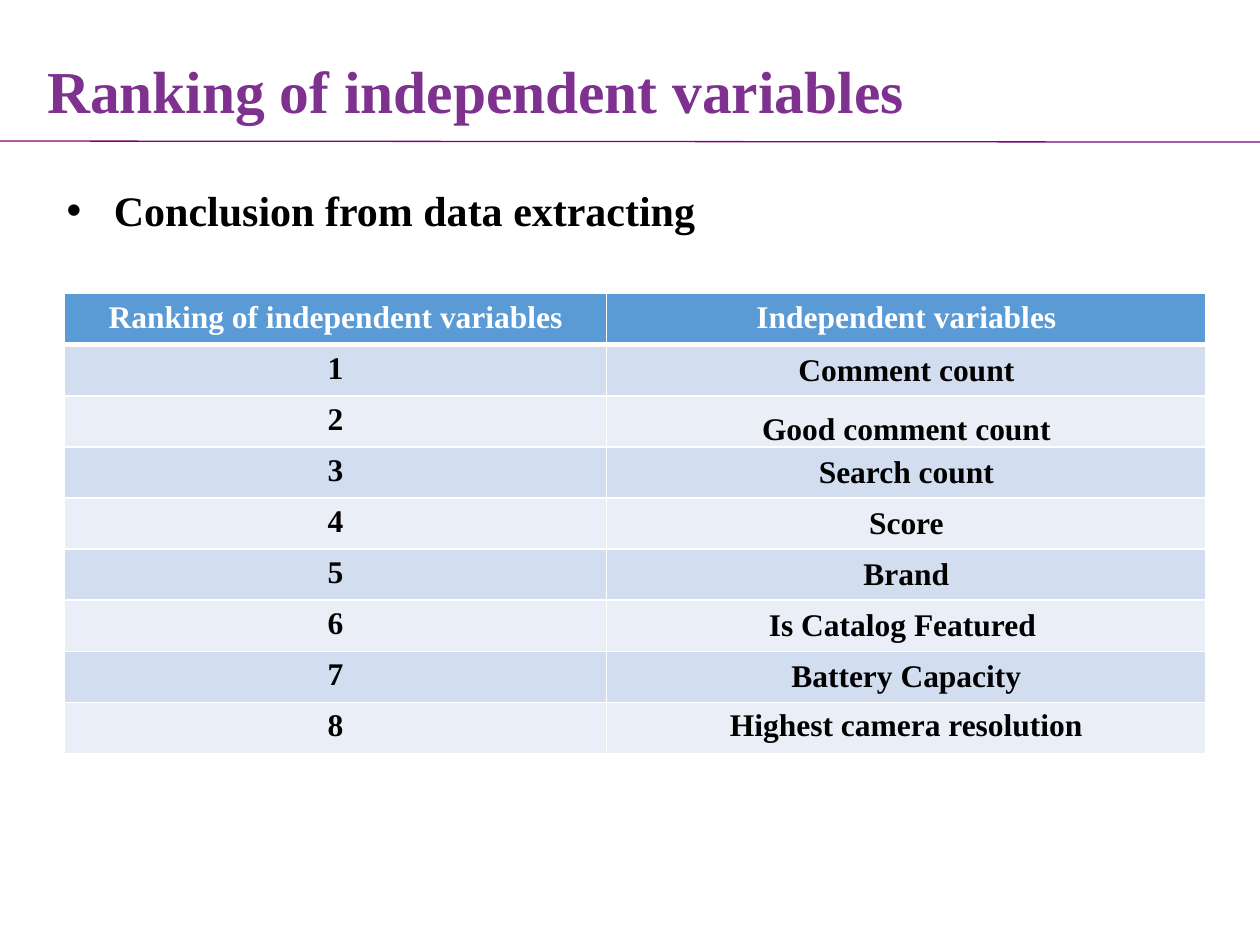
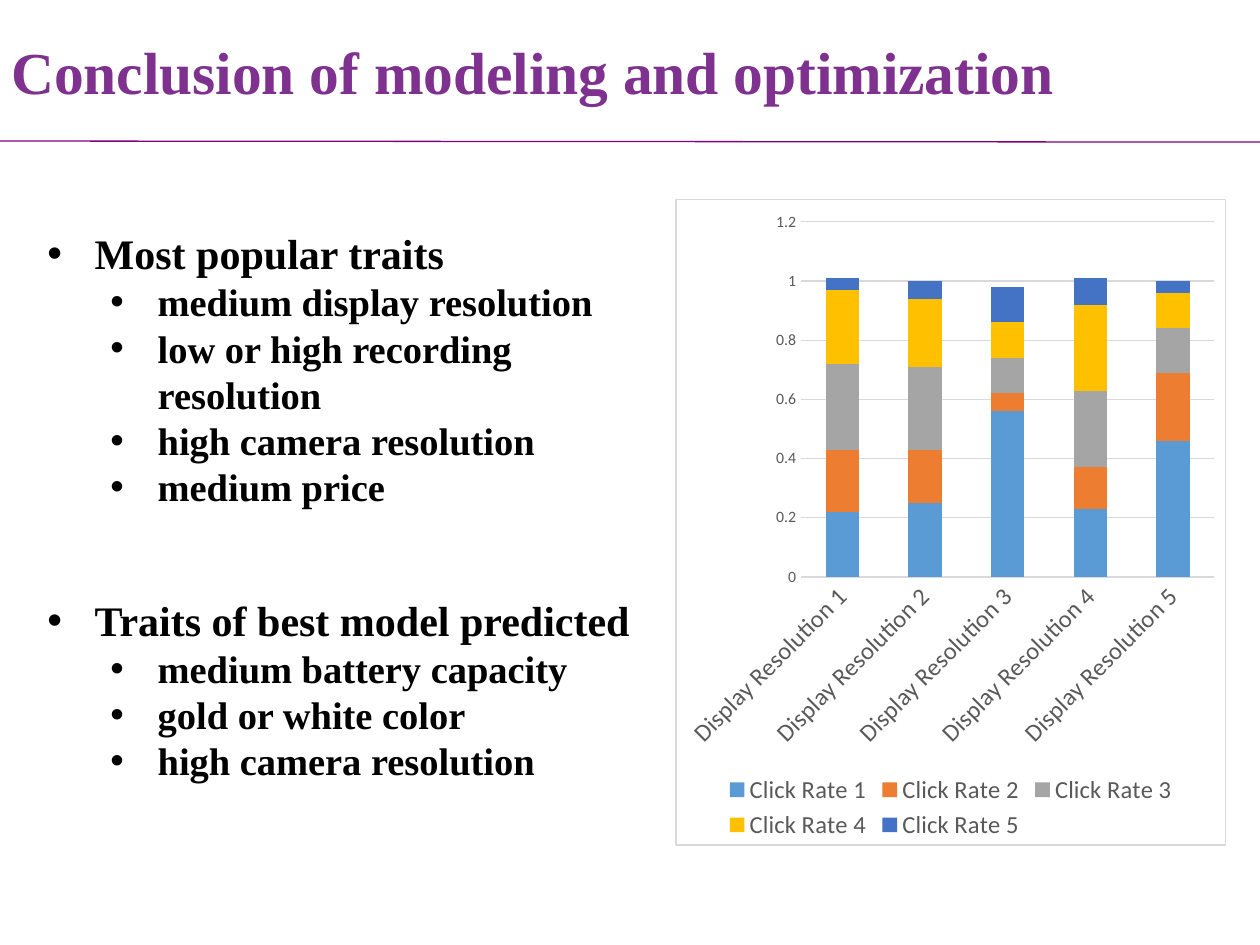
from dataclasses import dataclass

from lxml import etree
from pptx import Presentation
from pptx.chart.data import CategoryChartData
from pptx.dml.color import RGBColor
from pptx.enum.chart import XL_CHART_TYPE, XL_LEGEND_POSITION, XL_TICK_MARK
from pptx.enum.shapes import MSO_CONNECTOR
from pptx.enum.text import MSO_ANCHOR, PP_ALIGN
from pptx.oxml import parse_xml
from pptx.oxml.ns import nsdecls, qn
from pptx.util import Pt

TOP, MIDDLE, BOTTOM = MSO_ANCHOR.TOP, MSO_ANCHOR.MIDDLE, MSO_ANCHOR.BOTTOM
LEFT, CENTER = PP_ALIGN.LEFT, PP_ALIGN.CENTER
STRAIGHT = MSO_CONNECTOR.STRAIGHT
COLUMN_STACKED = XL_CHART_TYPE.COLUMN_STACKED
LEGEND_BOTTOM = XL_LEGEND_POSITION.BOTTOM
NO_TICK = XL_TICK_MARK.NONE


@dataclass(frozen=True)
class Theme:
    text_font: str = "Times New Roman"
    chart_font: str = "Calibri"
    title: str = "7E318E"
    rule: str = "800080"
    black: str = "000000"
    white: str = "FFFFFF"
    header: str = "5B9BD5"
    bands: tuple = ("D2DEEF", "EAEFF7")
    chart_text: str = "595959"
    chart_line: str = "D9D9D9"
    series: tuple = ("5B9BD5", "ED7D31", "A5A5A5", "FFC000", "4472C4")
    title_size: int = 34
    heading_size: int = 24
    item_size: int = 22
    table_size: int = 18
    label_size: int = 14
    chart_size: int = 10
    value_size: int = 9
    thin: float = 0.75


THEME = Theme()

VARIABLES = [
    "Comment count", "Good comment count", "Search count", "Score", "Brand",
    "Is Catalog Featured ", "Battery Capacity", "Highest camera resolution",
]
POPULAR_TRAITS = [
    "medium display resolution", "low or high recording resolution",
    "high camera resolution", "medium price",
]
BEST_MODEL_TRAITS = [
    "medium battery capacity", "gold or white color", "high camera resolution",
]
CLICK_RATES = [
    (0.22, 0.25, 0.56, 0.23, 0.46),
    (0.21, 0.18, 0.06, 0.14, 0.23),
    (0.29, 0.28, 0.12, 0.26, 0.15),
    (0.25, 0.23, 0.12, 0.29, 0.12),
    (0.04, 0.06, 0.12, 0.09, 0.04),
]


def color(value):
    return RGBColor.from_string(value)


def style_font(font, name, size, fill, bold=False):
    font.name, font.size, font.bold = name, Pt(size), bold
    font.color.rgb = color(fill)


def write_text(paragraph, text, size, fill=THEME.black, align=LEFT,
               line_spacing=None, bullet_level=None):
    """Write one bold paragraph, with a hanging bullet if a level is given."""
    paragraph.alignment = align
    if line_spacing:
        paragraph.line_spacing = line_spacing
    run = paragraph.add_run()
    run.text = text
    style_font(run.font, THEME.text_font, size, fill, bold=True)
    if bullet_level is not None:
        paragraph.level = bullet_level
        properties = paragraph._p.get_or_add_pPr()
        properties.set("marL", str(Pt(27 + 36 * bullet_level)))
        properties.set("indent", str(Pt(-27)))
        etree.SubElement(properties, qn("a:buFont"), typeface="Arial")
        etree.SubElement(properties, qn("a:buChar"), char="•")


def add_text_frame(slide, left, top, width, height, anchor=TOP):
    frame = slide.shapes.add_textbox(
        Pt(left), Pt(top), Pt(width), Pt(height)).text_frame
    frame.word_wrap = True
    frame.vertical_anchor = anchor
    return frame


def add_titled_slide(presentation, title, box, line_spacing):
    """Add a blank slide with the shared title style and rule."""
    slide = presentation.slides.add_slide(presentation.slide_layouts[6])
    rule = slide.shapes.add_connector(
        STRAIGHT, Pt(0), Pt(80.6), presentation.slide_width, Pt(81.2))
    rule.line.color.rgb = color(THEME.rule)
    rule.line.width = Pt(THEME.thin)
    etree.SubElement(rule._element.spPr, qn("a:effectLst"))
    frame = add_text_frame(slide, *box, anchor=MIDDLE)
    write_text(frame.paragraphs[0], title, THEME.title_size, THEME.title,
               line_spacing=line_spacing)
    return slide


def add_bullets(slide, box, heading, items=()):
    frame = add_text_frame(slide, *box)
    write_text(frame.paragraphs[0], heading, THEME.heading_size, bullet_level=0)
    for item in items:
        write_text(frame.add_paragraph(), item, THEME.item_size, bullet_level=1)


def set_borders(cell, top=1, bottom=1):
    properties = cell._tc.get_or_add_tcPr()
    for side, width in (("L", 1), ("R", 1), ("T", top), ("B", bottom)):
        properties.append(parse_xml(
            f'<a:ln{side} {nsdecls("a")} w="{Pt(width)}"><a:solidFill>'
            f'<a:srgbClr val="{THEME.white}"/></a:solidFill></a:ln{side}>'))


def style_cell(cell, text, fill, text_color, top, bottom):
    set_borders(cell, top, bottom)
    cell.fill.solid()
    cell.fill.fore_color.rgb = color(fill)
    write_text(cell.text_frame.paragraphs[0], text, THEME.table_size,
               text_color, align=CENTER)


def add_ranking_table(slide):
    rows = [("Ranking of independent variables", "Independent variables")]
    rows += [(str(rank), name) for rank, name in enumerate(VARIABLES, 1)]
    row_height = 29.2
    table = slide.shapes.add_table(
        len(rows), 2, Pt(37), Pt(167.8), Pt(652.3), Pt(row_height * len(rows))).table
    table.columns[0].width, table.columns[1].width = Pt(309.6), Pt(342.7)
    for index, texts in enumerate(rows):
        table.rows[index].height = Pt(row_height)
        is_header = index == 0
        fill = THEME.header if is_header else THEME.bands[(index - 1) % 2]
        for column, text in enumerate(texts):
            style_cell(table.cell(index, column), text, fill,
                       THEME.white if is_header else THEME.black,
                       top=3 if index == 1 else 1, bottom=3 if is_header else 1)
    # Variable names sit tight in their rows, except the last
    for index in range(1, len(VARIABLES)):
        cell = table.cell(index, 1)
        cell.margin_left = cell.margin_right = Pt(5)
        cell.margin_top = cell.margin_bottom = 0
        cell.vertical_anchor = BOTTOM if index == 2 else MIDDLE


def style_chart_area(chart):
    chart_element = chart._chartSpace.find(qn("c:chart"))
    chart_element.addnext(parse_xml(
        f'<c:spPr {nsdecls("c", "a")}><a:solidFill><a:srgbClr val="{THEME.white}"/>'
        f'</a:solidFill><a:ln w="{Pt(THEME.thin)}"><a:solidFill>'
        f'<a:srgbClr val="{THEME.chart_line}"/></a:solidFill></a:ln></c:spPr>'))


def style_axes(chart):
    category_axis, value_axis = chart.category_axis, chart.value_axis
    for axis, size in ((category_axis, THEME.label_size),
                       (value_axis, THEME.value_size)):
        axis.major_tick_mark = axis.minor_tick_mark = NO_TICK
        style_font(axis.tick_labels.font, THEME.chart_font, size, THEME.chart_text)
    labels = category_axis._element.find(qn("c:txPr")).find(qn("a:bodyPr"))
    labels.set("rot", str(-45 * 60000))
    value_axis.minimum_scale, value_axis.maximum_scale = 0, 1.2
    value_axis.major_unit = 0.2
    value_axis.tick_labels.number_format = "General"
    value_axis.tick_labels.number_format_is_linked = False
    value_axis.format.line.fill.background()
    value_axis.has_major_gridlines = True
    for line in (category_axis.format.line, value_axis.major_gridlines.format.line):
        line.color.rgb = color(THEME.chart_line)
        line.width = Pt(THEME.thin)


def add_click_rate_chart(slide):
    data = CategoryChartData()
    data.categories = [f"Display Resolution {number}" for number in range(1, 6)]
    for number, rates in enumerate(CLICK_RATES, 1):
        data.add_series(f"Click Rate {number}", rates)
    chart = slide.shapes.add_chart(
        COLUMN_STACKED, Pt(386), Pt(113.8), Pt(314.6), Pt(369.4), data).chart
    chart.has_title = False
    style_font(chart.font, THEME.chart_font, THEME.chart_size, THEME.black)
    style_chart_area(chart)
    style_axes(chart)
    # Columns
    plot = chart.plots[0]
    plot.gap_width, plot.overlap, plot.vary_by_categories = 150, 100, False
    for series, fill in zip(plot.series, THEME.series):
        series.format.fill.solid()
        series.format.fill.fore_color.rgb = color(fill)
    # Legend
    chart.has_legend = True
    chart.legend.position = LEGEND_BOTTOM
    chart.legend.include_in_layout = False
    style_font(chart.legend.font, THEME.chart_font, THEME.label_size,
               THEME.chart_text)


def main():
    presentation = Presentation()
    presentation.slide_width, presentation.slide_height = Pt(720), Pt(540)

    # Ranking
    slide = add_titled_slide(presentation, "Ranking of independent variables",
                             (20, 9.4, 595.4, 72), line_spacing=1.3)
    add_ranking_table(slide)
    add_bullets(slide, (31, 102.2, 408.2, 36), "Conclusion from data extracting")

    # Conclusion
    slide = add_titled_slide(presentation, "Conclusion of modeling and optimization",
                             (-0.7, -2.2, 654.5, 90), line_spacing=0.9)
    add_click_rate_chart(slide)
    add_bullets(slide, (20, 126.7, 365.8, 170), "Most popular traits", POPULAR_TRAITS)
    add_bullets(slide, (20, 336.2, 365.8, 116.6), "Traits of best model predicted",
                BEST_MODEL_TRAITS)

    presentation.save("out.pptx")


if __name__ == "__main__":
    main()
